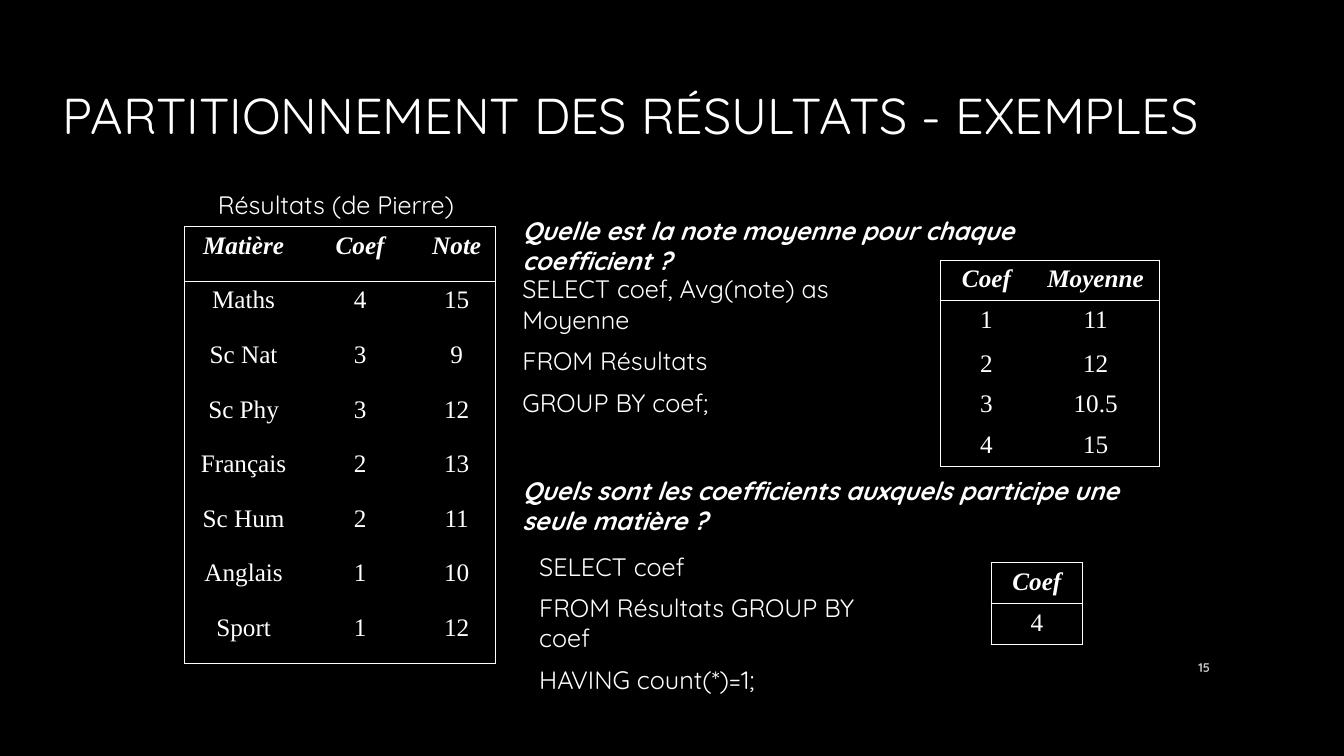
"""Build a slide on grouping query results, with tables and queries."""
from pptx import Presentation, util as u
from pptx.dml.color import RGBColor
from pptx.enum import text
from pptx.oxml import parse_xml
from pptx.oxml.ns import nsdecls

PX = 9525
BLACK = RGBColor(0x00, 0x00, 0x00)
WHITE = RGBColor(0xFF, 0xFF, 0xFF)
GREY = RGBColor(0xBF, 0xBF, 0xBF)
SANS = "Quicksand"
SERIF = "Times New Roman"
LEFT, CENTER, RIGHT = text.PP_ALIGN.LEFT, text.PP_ALIGN.CENTER, text.PP_ALIGN.RIGHT

RESULTS = [
    ("Matière", "Coef", "Note"),
    ("Maths", "4", "15"),
    ("Sc Nat", "3", "9"),
    ("Sc Phy", "3", "12"),
    ("Français", "2", "13"),
    ("Sc Hum", "2", "11"),
    ("Anglais", "1", "10"),
    ("Sport", "1", "12"),
]
AVERAGES = [("Coef", "Moyenne"), ("1", "11"), ("2", "12"), ("3", "10.5"), ("4", "15")]
SINGLES = [("Coef",), ("4",)]


def px(*lengths):
    return [length * PX for length in lengths]


def format_paragraph(paragraph, font_name, size=18, color=WHITE, emphasis=False, align=LEFT):
    paragraph.alignment = align
    font = paragraph.font
    font.name, font.size = font_name, u.Pt(size)
    font.bold = font.italic = emphasis
    font.color.rgb = color


def add_title(slide, wording):
    title = slide.shapes.title
    title.left, title.top, title.width, title.height = px(50, 9, 1202, 200)
    frame = title.text_frame
    frame.text = wording
    frame.auto_size = text.MSO_AUTO_SIZE.NONE
    frame.vertical_anchor = text.MSO_ANCHOR.MIDDLE
    format_paragraph(frame.paragraphs[0], SANS, 36)


def add_text(slide, box, lines, **style):
    frame = slide.shapes.add_textbox(*px(*box)).text_frame
    frame.word_wrap = True
    frame.text = "\n".join(lines)
    for paragraph in frame.paragraphs:
        format_paragraph(paragraph, SANS, **style)
    for paragraph in frame.paragraphs[1:]:
        paragraph.space_before = u.Pt(8)
    return frame


def set_borders(cell, sides):
    properties = cell._tc.get_or_add_tcPr()
    for index, side in enumerate("LRTB"):
        paint = f'<a:solidFill><a:srgbClr val="{WHITE}"/></a:solidFill>' if side in sides else "<a:noFill/>"
        border = parse_xml(f'<a:ln{side} {nsdecls("a")} w="12700">{paint}</a:ln{side}>')
        properties.insert(index, border)


def add_table(slide, left, top, widths, heights, rows):
    box = px(left, top, sum(widths), sum(heights))
    table = slide.shapes.add_table(len(rows), len(widths), *box).table
    table.first_row = table.horz_banding = False
    for column, width in zip(table.columns, widths):
        column.width = width * PX
    for row, height in zip(table.rows, heights):
        row.height = height * PX
    last_row, last_column = len(rows) - 1, len(widths) - 1
    for i, values in enumerate(rows):
        for j, value in enumerate(values):
            cell = table.cell(i, j)
            cell.text = value
            cell.fill.background()
            format_paragraph(cell.text_frame.paragraphs[0], SERIF, emphasis=i == 0, align=CENTER)
            edges = {"L": j == 0, "R": j == last_column, "T": i <= 1, "B": i in (0, last_row)}
            set_borders(cell, [side for side, shown in edges.items() if shown])


def main():
    presentation = Presentation()
    presentation.slide_width, presentation.slide_height = px(1280, 720)
    slide = presentation.slides.add_slide(presentation.slide_layouts[5])
    slide.background.fill.solid()
    slide.background.fill.fore_color.rgb = BLACK

    add_title(slide, "PARTITIONNEMENT DES RÉSULTATS - EXEMPLES")
    number = add_text(slide, (1104, 617, 58, 38), ["15"], size=9, color=GREY, align=RIGHT)
    number.vertical_anchor = text.MSO_ANCHOR.MIDDLE
    number.paragraphs[0].font.bold = True

    add_text(slide, (176, 176, 288, 38), ["Résultats (de Pierre)"], align=CENTER)
    add_table(slide, 176, 216, [112, 110, 74], [52] * len(RESULTS), RESULTS)

    add_text(slide, (488, 200, 608, 67),
             ["Quelle est la note moyenne pour chaque coefficient ?"], emphasis=True)
    add_text(slide, (488, 256, 400, 125),
             ["SELECT coef, Avg(note) as Moyenne", "FROM Résultats", "GROUP BY coef;"])
    add_table(slide, 896, 248, [87, 121], [38, 42, 38, 38, 39], AVERAGES)

    add_text(slide, (488, 448, 608, 67),
             ["Quels sont les coefficients auxquels participe une seule matière ?"], emphasis=True)
    add_text(slide, (504, 520, 368, 125),
             ["SELECT coef", "FROM Résultats GROUP BY coef", "HAVING count(*)=1;"])
    add_table(slide, 944, 536, [87], [39, 39], SINGLES)

    presentation.save("out.pptx")


if __name__ == "__main__":
    main()
